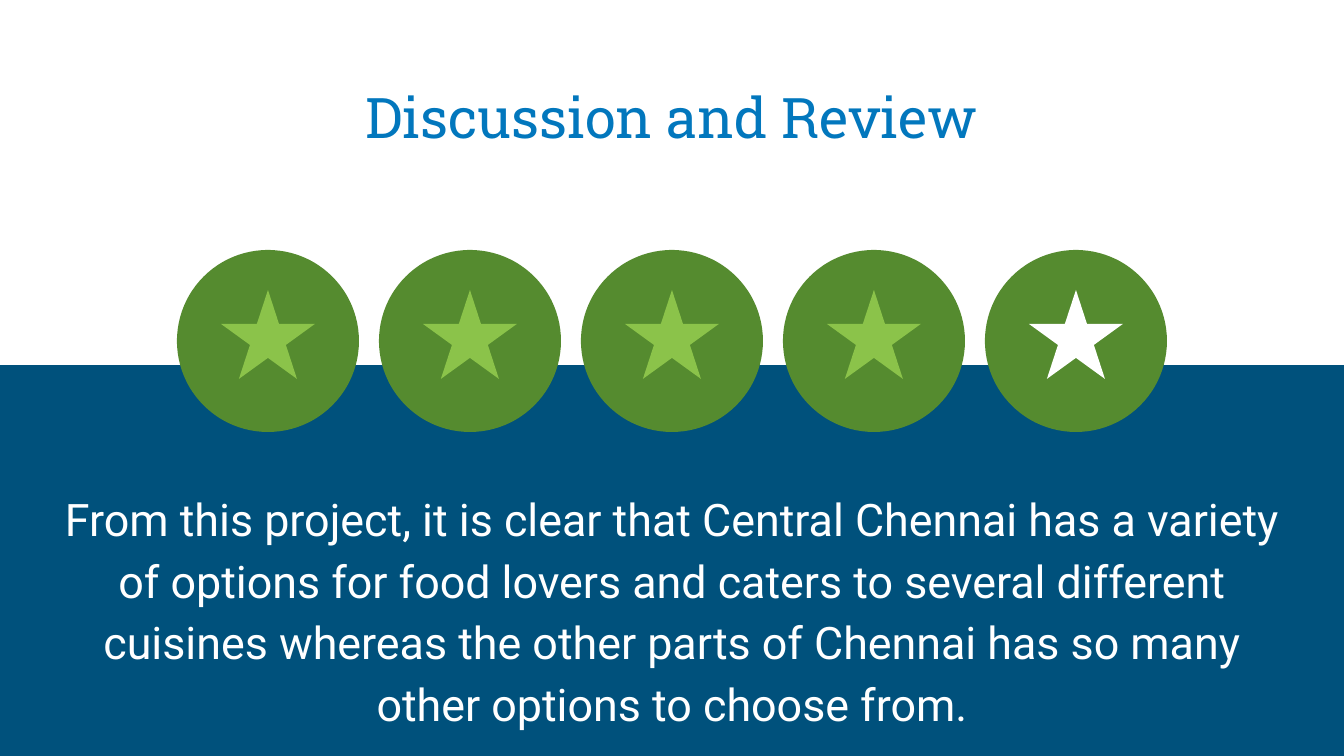
from pptx import Presentation
from pptx.dml.color import RGBColor
from pptx.enum.shapes import MSO_SHAPE
from pptx.enum.text import MSO_ANCHOR, MSO_AUTO_SIZE, PP_ALIGN
from pptx.util import Pt
from lxml import etree

SCALE = 914400 / 134.4  # EMU per px
NAVY = RGBColor(0x00, 0x51, 0x7C)
BLUE = RGBColor(0x02, 0x77, 0xBD)
GREEN = RGBColor(0x55, 0x8B, 0x2F)
LIME = RGBColor(0x8B, 0xC3, 0x4A)
WHITE = RGBColor(0xFF, 0xFF, 0xFF)
W, H = 1344, 756


def box(*lengths):
    return [round(n * SCALE) for n in lengths]


def put_text(sp, text, at, font, size, color, anchor, spacing=1.0, after=0):
    sp.left, sp.top, sp.width, sp.height = box(*at)
    tf = sp.text_frame
    tf.word_wrap = True
    tf.auto_size = MSO_AUTO_SIZE.NONE
    tf.vertical_anchor = anchor
    tf.margin_left = tf.margin_right = tf.margin_top = tf.margin_bottom = Pt(7.2)
    p = tf.paragraphs[0]
    p.alignment = PP_ALIGN.CENTER
    p.line_spacing = spacing
    p.space_before, p.space_after = Pt(0), Pt(after)
    # No bullet or hanging indent
    pPr = p._p.get_or_add_pPr()
    pPr.set("marL", "0")
    pPr.set("indent", "0")
    etree.SubElement(pPr, "{http://schemas.openxmlformats.org/drawingml/2006/main}buNone")
    r = p.add_run()
    r.text = text
    r.font.name, r.font.size, r.font.color.rgb = font, Pt(size), color


prs = Presentation()
prs.slide_width, prs.slide_height = box(W, H)
s = prs.slides.add_slide(prs.slide_layouts[1])
s.background.fill.solid()
s.background.fill.fore_color.rgb = NAVY

# White upper band, behind the title
band = s.shapes.add_shape(MSO_SHAPE.RECTANGLE, *box(0, 0, W, 365))
band.shadow.inherit = False
band.fill.solid()
band.fill.fore_color.rgb = WHITE
band.line.fill.background()
s.shapes._spTree.insert(2, band._element)

# Title and conclusion
put_text(s.shapes.title, "Discussion and Review", (46, 55, 1252, 108),
         font="Roboto Slab", size=30, color=BLUE, anchor=MSO_ANCHOR.BOTTOM)
put_text(s.placeholders[1],
         "From this project, it is clear that Central Chennai has a variety of options "
         "for food lovers and caters to several different cuisines whereas the other "
         "parts of Chennai has so many other options to choose from.",
         (46, 470, 1252, 237), font="Roboto", size=24, color=WHITE,
         anchor=MSO_ANCHOR.TOP, spacing=1.15, after=16)

# Rating: five star badges centred on the slide, the last one empty
PITCH, DISC, STAR_W, STAR_H = 202, 182, 94, 89
for i, star_color in enumerate([LIME] * 4 + [WHITE]):
    center = W // 2 + (i - 2) * PITCH
    badge = s.shapes.add_group_shape()
    for kind, top, w, h, color in (
        (MSO_SHAPE.OVAL, 250, DISC, DISC, GREEN),
        (MSO_SHAPE.STAR_5_POINT, 290, STAR_W, STAR_H, star_color),
    ):
        sp = badge.shapes.add_shape(kind, *box(center - w // 2, top, w, h))
        sp.shadow.inherit = False
        sp.fill.solid()
        sp.fill.fore_color.rgb = color
        sp.line.fill.background()

prs.save("out.pptx")
